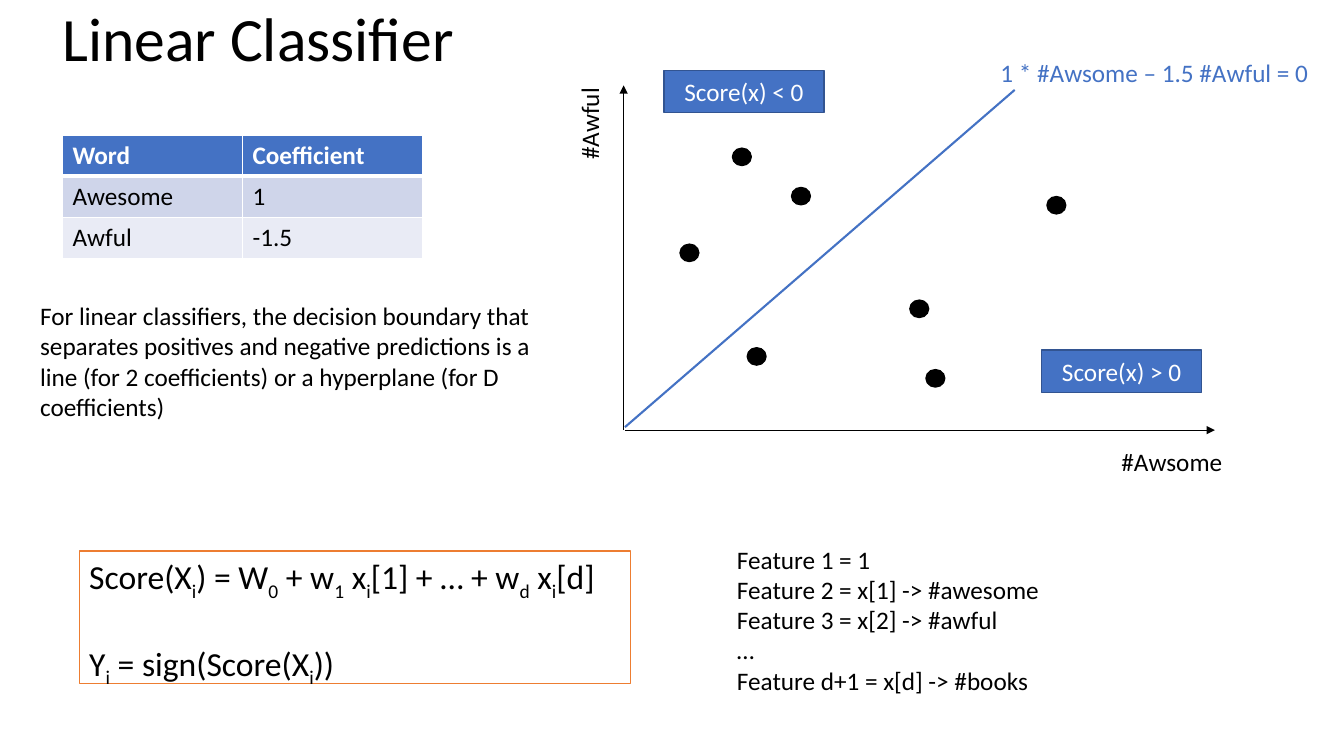
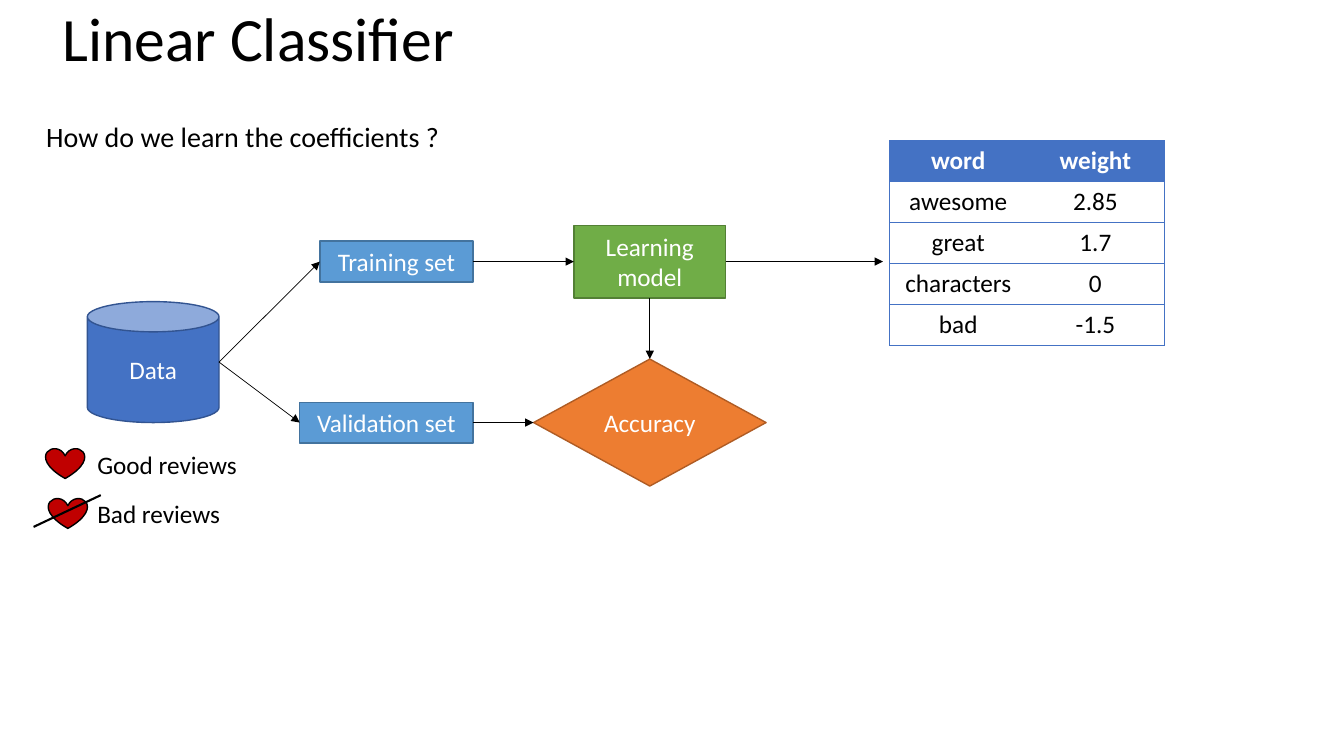
"""Build two slides on linear classifiers, placed on a grid of 100 columns by 100 rows."""
from lxml.etree import SubElement
from pptx import Presentation
from pptx.dml.color import RGBColor
from pptx.enum.shapes import MSO_CONNECTOR, MSO_SHAPE as SHAPE
from pptx.enum.text import MSO_ANCHOR as ANCHOR, PP_ALIGN as ALIGN
from pptx.oxml.ns import qn
from pptx.util import Inches, Pt

COLORS = {
    "black": "000000", "white": "FFFFFF", "blue": "4472C4", "navy": "325491",
    "sky": "5B9BD5", "steel": "43739E", "green": "70AD47", "forest": "538035",
    "orange": "ED7D31", "rust": "AF5C24", "red": "C00000",
    "band": "CFD5EA", "pale": "E9EBF5",
}
RGB = {name: RGBColor.from_string(value) for name, value in COLORS.items()}
FONT = "Calibri"

deck = Presentation()
deck.slide_width, deck.slide_height = Inches(13.33), Inches(7.5)
COL, ROW = deck.slide_width / 100, deck.slide_height / 100


def write(frame, lines, size=18, color="black", align=ALIGN.LEFT, bold=False, gap=0, spacing=1):
    """Fill a text frame; the parts between underscores become subscripts."""
    for number, line in enumerate(lines):
        para = frame.add_paragraph() if number else frame.paragraphs[0]
        para.alignment = align
        para.line_spacing = spacing
        para.space_before = Pt(gap if number else 0)
        for part, text in enumerate(line.split("_")):
            span = para.add_run()
            span.text = text
            span.font.name, span.font.size, span.font.bold = FONT, Pt(size), bold
            span.font.color.rgb = RGB[color]
            if part % 2:
                span.font._element.set("baseline", "-25000")


def place(page, area, lines=(), kind=None, fill=None, edge=None, anchor=ANCHOR.TOP, **style):
    """Add a text box, or a filled shape when a kind is given."""
    left, top, width, height = area
    bounds = [int(v) for v in (left * COL, top * ROW, width * COL, height * ROW)]
    if kind is None:
        box = page.shapes.add_textbox(*bounds)
    else:
        box = page.shapes.add_shape(kind, *bounds)
        box.shadow.inherit = False
        box.fill.solid()
        box.fill.fore_color.rgb = RGB[fill]
        box.line.color.rgb = RGB[edge]
        box.line.width = Pt(1)
    box.text_frame.word_wrap = True
    box.text_frame.vertical_anchor = anchor
    write(box.text_frame, lines, **style)
    return box


pages = [deck.slides.add_slide(deck.slide_layouts[6]) for _ in range(2)]
boundary_page, learning_page = pages
for page in pages:
    place(page, (3.9, 0.4, 90, 16.7), ["Linear Classifier"], size=44, spacing=0.9)

label = {"anchor": ANCHOR.MIDDLE, "align": ALIGN.CENTER, "color": "white"}

place(boundary_page, (40.1, 13.1, 7.5, 5.4), ["#Awful"]).rotation = 270
place(boundary_page, (82.7, 58.4, 9.3, 5.4), ["#Awsome"])
place(boundary_page, (73.7, 6.9, 26.3, 5.4), ["1 * #Awsome – 1.5 #Awful = 0"], color="blue")
for left, top in ((50.6, 32.3), (58.9, 24.8), (54.5, 19.6), (67.7, 39.7),
                  (55.6, 46), (77.9, 26), (68.9, 48.9)):
    place(boundary_page, (left, top, 1.4, 2.3), kind=SHAPE.OVAL, fill="black", edge="black")
for left, top, sign in ((77.5, 46.3, ">"), (49.4, 9.3, "<")):
    place(boundary_page, (left, top, 11.9, 5.6), [f"Score(x) {sign} 0"],
          SHAPE.RECTANGLE, "blue", "navy", **label)
place(boundary_page, (2.25, 39.1, 40.7, 17.5), [
    "For linear classifiers, the decision boundary that separates positives and negative "
    "predictions is a line (for 2 coefficients) or a hyperplane (for D coefficients)"])
place(boundary_page, (5.9, 72.9, 41, 17.5), [
    "Score(X_i_) = W_0_ + w_1_ x_i_[1] + … + w_d_ x_i_[d]",
    "Y_i_ = sign(Score(X_i_))",
], SHAPE.RECTANGLE, "white", "orange", size=24, gap=29)
place(boundary_page, (54.1, 71.3, 29.8, 21.6), [
    "Feature 1 = 1",
    "Feature 2 = x[1] -> #awesome",
    "Feature 3 = x[2] -> #awful",
    "…",
    "Feature d+1 = x[d] -> #books",
])

place(learning_page, (2.7, 15.2, 92.8, 5.9), ["How do we learn the coefficients ?"], size=20)
place(learning_page, (6.5, 39.9, 9.8, 16), ["Data"], SHAPE.CAN, "blue", "navy", **label)
training = place(learning_page, (23.8, 31.9, 11.4, 5.4), ["Training set"],
                 SHAPE.RECTANGLE, "sky", "steel", **label)
validation = place(learning_page, (22.3, 53.2, 12.9, 5.4), ["Validation set"],
                   SHAPE.RECTANGLE, "sky", "steel", **label)
model = place(learning_page, (42.7, 29.8, 11.3, 9.6), ["Learning model"],
              SHAPE.RECTANGLE, "green", "forest", **label)
accuracy = place(learning_page, (39.7, 47.5, 17.3, 16.8), ["Accuracy"],
                 SHAPE.DIAMOND, "orange", "rust", **label)
place(learning_page, (6.5, 58.8, 18.8, 11.9), ["Good reviews", "Bad reviews"], gap=13.5)
for left, top in ((3.4, 59.3), (3.6, 65.9)):
    place(learning_page, (left, top, 2.9, 4), kind=SHAPE.HEART, fill="red", edge="black")

TOP, LEFT, BOTTOM, RIGHT = range(4)
data_exit = (16.3, 47.9)
thin, thick = ("black", 0.5, True), ("black", 1.5, False)
strokes = [
    (boundary_page, (46.4, 56.9), (46.4, 11.3), thin),
    (boundary_page, (46.5, 56.9), (90.4, 56.9), thin),
    (boundary_page, (46.5, 56.5), (75.5, 11.9), ("blue", 1.5, False)),
    (learning_page, data_exit, (training, LEFT), thin),
    (learning_page, data_exit, (validation, LEFT), thin),
    (learning_page, (training, RIGHT), (model, LEFT), thin),
    (learning_page, (validation, RIGHT), (accuracy, LEFT), thin),
    (learning_page, (model, BOTTOM), (accuracy, TOP), thin),
    (learning_page, (model, RIGHT), (65.7, 34.6), thin),
    (learning_page, (2.5, 69.7), (7.5, 65.5), thick),
]
for page, start, end, (color, width, arrow) in strokes:
    glued = [hasattr(tip[0], "left") for tip in (start, end)]
    (x1, y1), (x2, y2) = [(0, 0) if fixed else tip for tip, fixed in zip((start, end), glued)]
    line = page.shapes.add_connector(MSO_CONNECTOR.STRAIGHT, int(x1 * COL), int(y1 * ROW),
                                     int(x2 * COL), int(y2 * ROW))
    if glued[0]:
        line.begin_connect(*start)
    if glued[1]:
        line.end_connect(*end)
    line.line.color.rgb = RGB[color]
    line.line.width = Pt(width)
    if arrow:
        SubElement(line.line._get_or_add_ln(), qn("a:tailEnd"), type="triangle")
    SubElement(line._element.spPr, qn("a:effectLst"))

tables = [
    (boundary_page, 4.65, 17.9, 13.4, ALIGN.LEFT, ["blue", "band", "pale"], ("white", 1, 3, True),
     [("Word", "Coefficient"), ("Awesome", "1"), ("Awful", "-1.5")]),
    (learning_page, 66.2, 18.6, 10.2, ALIGN.CENTER, ["blue"] + [None] * 4,
     ("blue", 0.5, 0.5, False),
     [("word", "weight"), ("awesome", "2.85"), ("great", "1.7"), ("characters", "0"),
      ("bad", "-1.5")]),
]
row_height = 5.42
for page, left, top, width, align, fills, (color, rule, header_rule, inner), rows in tables:
    last = len(rows[0]) - 1
    table = page.shapes.add_table(len(rows), last + 1, int(left * COL), int(top * ROW),
                                  int(width * COL) * (last + 1),
                                  int(row_height * ROW) * len(rows)).table
    for r, texts in enumerate(rows):
        for c, text in enumerate(texts):
            cell = table.cell(r, c)
            write(cell.text_frame, [text], color="black" if r else "white",
                  align=align, bold=r == 0)
            borders = {
                "L": rule if inner or c == 0 else 0,
                "R": rule if inner or c == last else 0,
                "T": header_rule if r == 1 else rule,
                "B": header_rule if r == 0 else rule,
            }
            for side, points in borders.items():
                border = SubElement(cell._tc.get_or_add_tcPr(), qn(f"a:ln{side}"),
                                    w=str(Pt(points)))
                if points:
                    paint = SubElement(border, qn("a:solidFill"))
                    SubElement(paint, qn("a:srgbClr"), val=COLORS[color])
                else:
                    SubElement(border, qn("a:noFill"))
            if fills[r]:
                cell.fill.solid()
                cell.fill.fore_color.rgb = RGB[fills[r]]
            else:
                cell.fill.background()

deck.save("out.pptx")
